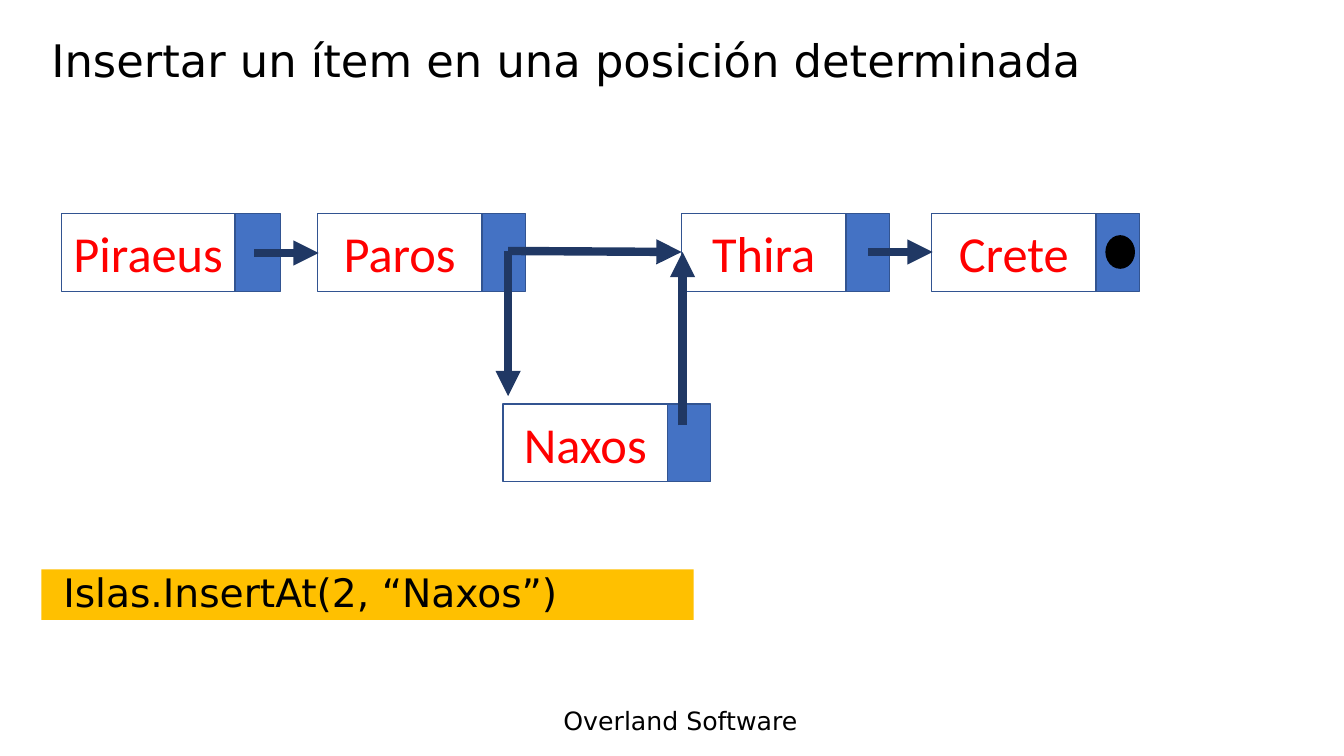
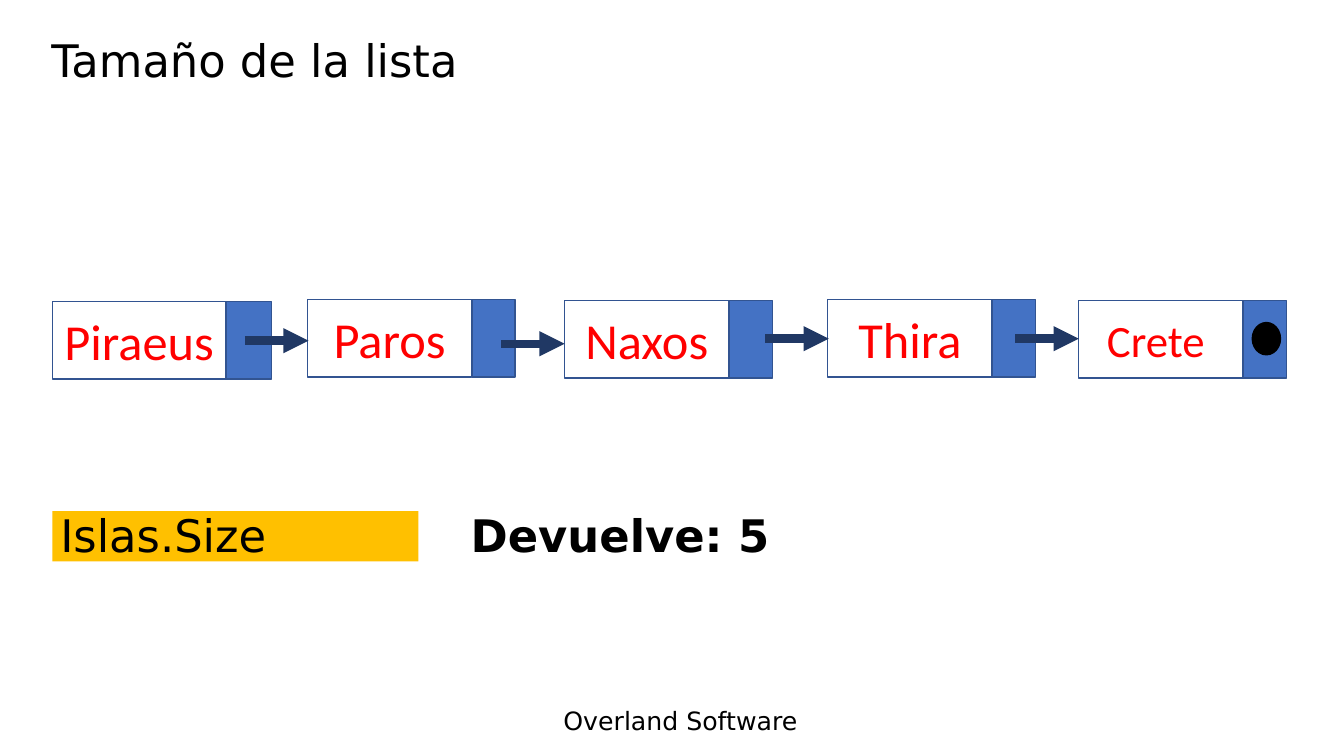
"""Two slides on linked lists: inserting an item and reading the size."""
import pptx
import pptx.dml.color
import pptx.enum.shapes
import pptx.enum.text
import pptx.oxml.ns
import pptx.util
from lxml import etree

PX = 9144
BLACK, RED, AMBER = "000000", "FF0000", "FFC000"
BLUE, EDGE, NAVY = "4472C4", "325491", "203864"
SANS, NODE_FONT = "DejaVu Sans", "Calibri"
NODE_H = 77
SHAPE = pptx.enum.shapes.MSO_SHAPE
ALIGN = pptx.enum.text.PP_ALIGN
ANCHOR = pptx.enum.text.MSO_ANCHOR


def px(*values):
    """Turn px lengths into EMU."""
    return [pptx.util.Emu(v * PX) for v in values]


def rgb(value):
    """Turn a hex string into a colour."""
    return pptx.dml.color.RGBColor.from_string(value)


def write(sp, text, size=32, font=SANS, color=BLACK, bold=False,
          align=ALIGN.LEFT, anchor=ANCHOR.MIDDLE, spacing=None):
    """Put one formatted paragraph into a shape."""
    tf = sp.text_frame
    tf.word_wrap = True
    tf.auto_size = pptx.enum.text.MSO_AUTO_SIZE.NONE
    tf.vertical_anchor = anchor
    p = tf.paragraphs[0]
    p.alignment = align
    p.line_spacing = spacing
    r = p.add_run()
    r.text = text
    r.font.size = pptx.util.Pt(size)
    r.font.name = font
    r.font.bold = bold
    r.font.color.rgb = rgb(color)


def add_text(s, box, text, **style):
    """Add a text box."""
    write(s.shapes.add_textbox(*px(*box)), text, **style)


def add_shape(shapes, kind, box, fill=None, line=None):
    """Add a flat shape with an optional fill and outline."""
    sp = shapes.add_shape(kind, *px(*box))
    sp.shadow.inherit = False
    if fill:
        sp.fill.solid()
        sp.fill.fore_color.rgb = rgb(fill)
    else:
        sp.fill.background()
    if line:
        sp.line.color.rgb = rgb(line)
        sp.line.width = pptx.util.Pt(1)
    else:
        sp.line.fill.background()
    return sp


def add_node(s, name, x, y, name_w=163, link_w=43, size=36):
    """Add a list node: a name cell and its link cell, grouped."""
    shapes = s.shapes.add_group_shape().shapes
    cell = add_shape(shapes, SHAPE.RECTANGLE, (x, y, name_w, NODE_H), line=EDGE)
    write(cell, name, size=size, font=NODE_FONT, color=RED, align=ALIGN.CENTER)
    add_shape(shapes, SHAPE.RECTANGLE, (x + name_w, y, link_w, NODE_H), BLUE, EDGE)


def add_arrow(s, x1, y1, x2, y2):
    """Add a thick arrow between two points."""
    line = s.shapes.add_connector(
        pptx.enum.shapes.MSO_CONNECTOR.STRAIGHT, *px(x1, y1, x2, y2))
    line.line.color.rgb = rgb(NAVY)
    line.line.width = pptx.util.Pt(6)
    qn = pptx.oxml.ns.qn
    etree.SubElement(line.line._get_or_add_ln(), qn("a:tailEnd"), type="triangle")
    etree.SubElement(line._element.spPr, qn("a:effectLst"))


def add_list(s, nodes, arrows, end_dot):
    """Draw the nodes, their arrows and the dot that ends the list."""
    for node in nodes:
        add_node(s, *node)
    for arrow in arrows:
        add_arrow(s, *arrow)
    add_shape(s.shapes, SHAPE.OVAL, (*end_dot, 28, 32), BLACK, BLACK)


def add_slide(prs, title):
    """Add a slide with the shared title and footer."""
    s = prs.slides.add_slide(prs.slide_layouts[5])
    sp = s.shapes.title
    sp.left, sp.top, sp.width, sp.height = px(41, 15, 1201, 95)
    write(sp, title, spacing=0.9)
    add_text(s, (549, 695, 290, 40), "Overland Software", size=18, anchor=ANCHOR.TOP)
    return s


def insert_slide(prs):
    """Build the slide about inserting an item."""
    s = add_slide(prs, "Insertar un ítem en una posición determinada")
    y = 212
    nodes = [("Piraeus", 61, y, 172, 45), ("Paros", 315, y), ("Thira", 676, y),
             ("Naxos", 499, 401), ("Crete", 924, y)]
    arrows = [(252, 251, 316, 251), (504, 249, 504, 393), (677, 422, 677, 250),
              (861, 250, 925, 250), (504, 249, 676, 250)]
    add_list(s, nodes, arrows, (1097, 234))
    add_shape(s.shapes, SHAPE.RECTANGLE, (41, 565, 647, 50), AMBER)
    add_text(s, (53, 559, 600, 57), "Islas.InsertAt(2, “Naxos”)",
             size=28, anchor=ANCHOR.TOP)


def size_slide(prs):
    """Build the slide about the size of the list."""
    s = add_slide(prs, "Tamaño de la lista")
    nodes = [("Piraeus", 52, 299, 172, 45), ("Paros", 305, 297), ("Thira", 821, 297),
             ("Naxos", 560, 298), ("Crete ", 1070, 298, 163, 43, 32)]
    starts = [(243, 338), (497, 341), (759, 336), (1007, 336)]
    add_list(s, nodes, [(x, y, x + 63, y) for x, y in starts], (1242, 320))
    add_shape(s.shapes, SHAPE.RECTANGLE, (52, 507, 363, 50), AMBER)
    add_text(s, (50, 498, 334, 64), "Islas.Size")
    add_text(s, (457, 498, 334, 64), "Devuelve: 5", bold=True)


def main():
    """Build and save the presentation."""
    prs = pptx.Presentation()
    prs.slide_width, prs.slide_height = px(1333, 750)
    insert_slide(prs)
    size_slide(prs)
    prs.save("out.pptx")


if __name__ == "__main__":
    main()
